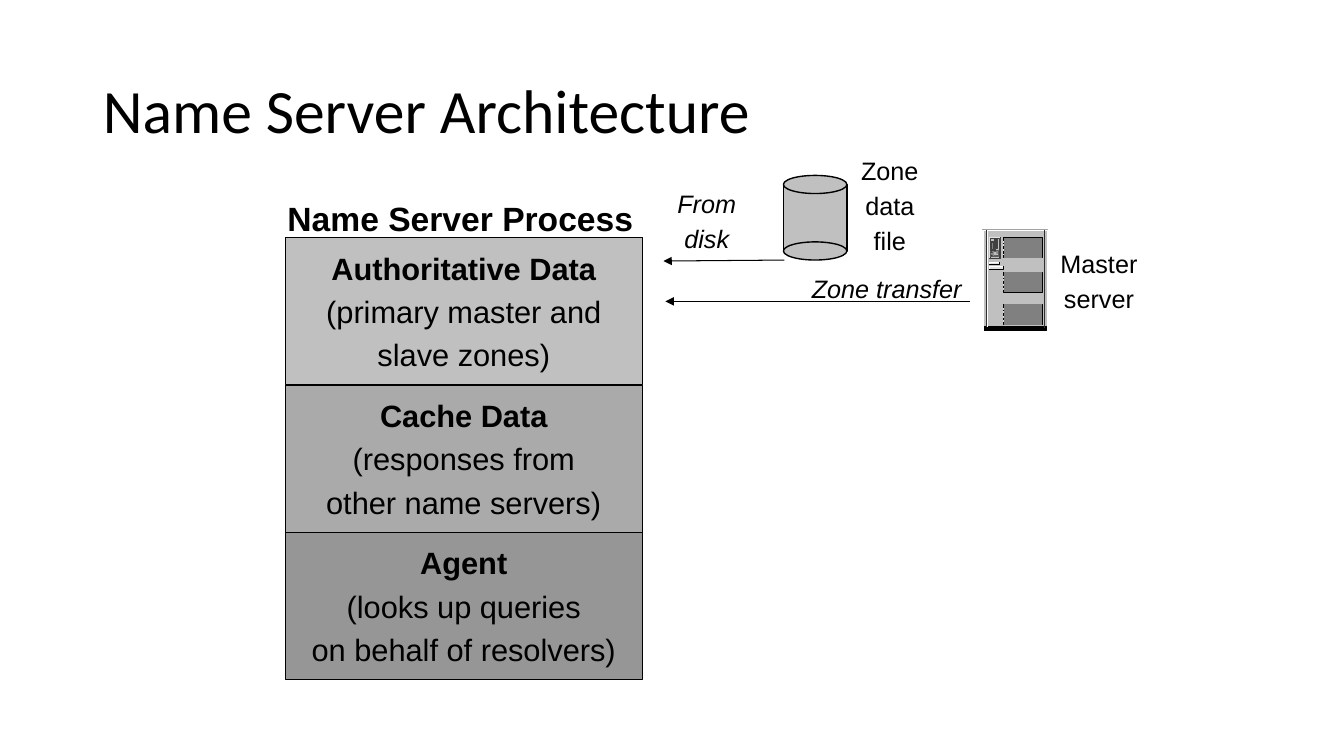
from pptx import Presentation
from pptx.dml.color import RGBColor
from pptx.enum.shapes import MSO_CONNECTOR as Connector, MSO_SHAPE as Shape
from pptx.enum.text import MSO_ANCHOR as Anchor, MSO_AUTO_SIZE as AutoSize, PP_ALIGN as Align
from pptx.oxml.ns import qn
from pptx.util import Inches, Pt
from lxml.etree import SubElement

COLORS = {
    "black": "000000",
    "white": "FFFFFF",
    "silver": "C0C0C0",
    "cache": "AAAAAA",
    "agent": "969696",
    "edge": "A2A2A2",
    "seam": "2F2F2F",
    "dark": "404040",
    "slot": "5F5F5F",
    "slat": "808080",
    "button": "8F8F8F",
    "light": "E1E1E1",
}

SECTIONS = [
    ("silver", ["Authoritative Data", "(primary master and", "slave zones)"]),
    ("cache", ["Cache Data", "(responses from", "other name servers)"]),
    ("agent", ["Agent", "(looks up queries", "on behalf of resolvers)"]),
]
SECTION_HEIGHT = 1.46

DRIVE_PARTS = [
    (9.82, 2.37, 0.09, 0.19, "silver", "dark"),
    (9.82, 2.49, 0.08, 0.05, "silver", "slot"),
    (9.82, 2.37, 0.04, 0.12, "silver", "dark"),
    (9.87, 2.37, 0.02, 0.10, "dark", "dark"),
    (9.83, 2.40, 0.02, 0.08, "slat", "dark"),
    (9.83, 2.40, 0.02, 0.01, "dark", "dark"),
    (9.86, 2.37, 0.01, 0.12, "dark", "dark"),
    (9.87, 2.37, 0.01, 0.10, "light", "dark"),
    (9.84, 2.50, 0.01, 0.04, "light", "button"),
]
PANEL_TOPS = [2.36, 2.7, 3.02]
BAR_OFFSETS = [0.04, 0.07, 0.12, 0.16]
SLAT_COUNT = 20


def color(name):
    return RGBColor.from_string(COLORS[name])


def add_block(shapes, left, top, width, height, fill, line=None, weight=0.75, kind=Shape.RECTANGLE):
    block = shapes.add_shape(kind, Inches(left), Inches(top), Inches(width), Inches(height))
    block.shadow.inherit = False
    block.fill.solid()
    block.fill.fore_color.rgb = color(fill)
    if line:
        block.line.color.rgb = color(line)
        block.line.width = Pt(weight)
    else:
        block.line.fill.background()
    return block


def add_line(shapes, start, end, line="black", weight=0.75, arrow=False):
    points = [Inches(value) for value in (*start, *end)]
    connector = shapes.add_connector(Connector.STRAIGHT, *points)
    connector.line.color.rgb = color(line)
    connector.line.width = Pt(weight)
    if arrow:
        SubElement(connector.line._get_or_add_ln(), qn("a:tailEnd"), type="triangle")
    SubElement(connector._element.spPr, qn("a:effectLst"))


def add_corner(shapes, points, line):
    first, *rest = [(Inches(x), Inches(y)) for x, y in points]
    builder = shapes.build_freeform(*first)
    builder.add_line_segments(rest, close=False)
    corner = builder.convert_to_shape()
    corner.shadow.inherit = False
    corner.fill.background()
    corner.line.color.rgb = color(line)
    corner.line.width = Pt(0.75)


def write_lines(frame, lines, size, bold_first=False, italic=False):
    frame.word_wrap = False
    for index, line in enumerate(lines):
        para = frame.paragraphs[0] if index == 0 else frame.add_paragraph()
        para.text = line
        para.alignment = Align.CENTER
        if index:
            para.space_before = Pt(round(size * 0.2, 1))
        para.font.name = "Arial"
        para.font.size = Pt(size)
        para.font.bold = bold_first and index == 0
        para.font.italic = italic
        para.font.color.rgb = color("black")


def add_label(shapes, left, top, width, height, lines, size=18, bold=False, italic=False):
    box = shapes.add_textbox(Inches(left), Inches(top), Inches(width), Inches(height))
    write_lines(box.text_frame, lines, size, bold, italic)
    box.text_frame.auto_size = AutoSize.SHAPE_TO_FIT_TEXT


def add_title(page, text):
    title = page.shapes.title
    title.left, title.top = Inches(0.92), Inches(0.4)
    title.width, title.height = Inches(11.5), Inches(1.45)
    title.text_frame.text = text
    title.text_frame.vertical_anchor = Anchor.MIDDLE
    para = title.text_frame.paragraphs[0]
    para.alignment = Align.LEFT
    para.line_spacing = 0.9
    para.font.name = "Calibri"
    para.font.size = Pt(44)
    para.font.color.rgb = color("black")


def add_vent_panel(shapes, top):
    add_block(shapes, 9.95, top, 0.39, 0.2, "white", "black")
    for offset in BAR_OFFSETS:
        add_block(shapes, 9.95, top + offset, 0.38, 0.01, "light", "light")
    for index in range(SLAT_COUNT):
        x = 9.97 + 0.35 * index / (SLAT_COUNT - 1)
        add_line(shapes, (x, top), (x, top + 0.2), "slat", 1.48)


def add_tray(shapes, top, width, height):
    add_block(shapes, 9.81, top, width, height, "light", "white")
    right, bottom = 9.81 + width, top + height
    add_corner(shapes, [(9.81, bottom), (right, bottom), (right, top)], "black")


def add_master_server(page):
    shapes = page.shapes.add_group_shape().shapes
    add_block(shapes, 9.75, 2.28, 0.64, 0.96, "silver", "edge")
    add_block(shapes, 9.76, 3.24, 0.62, 0.04, "black", "black")
    add_line(shapes, (9.78, 2.28), (9.78, 3.24), "seam")
    for left, right in [(9.79, 10.35), (9.75, 9.78)]:
        add_corner(shapes, [(left, 3.24), (left, 2.29), (right, 2.29)], "white")
    add_corner(shapes, [(10.36, 2.29), (10.39, 2.29), (10.39, 3.24)], "white")
    add_line(shapes, (10.36, 2.28), (10.36, 3.25), "seam")
    add_block(shapes, 9.81, 2.35, 0.11, 0.21, "light")
    for part in DRIVE_PARTS:
        add_block(shapes, *part)
    for top in (2.5, 2.53):
        add_block(shapes, 9.83, top, 0.01, 0.01, "dark", "dark", kind=Shape.OVAL)
    add_corner(shapes, [(9.92, 2.35), (9.92, 2.56), (9.81, 2.56)], "dark")
    add_block(shapes, 9.88, 2.5, 0.01, 0.02, "light", "button")
    for top in PANEL_TOPS:
        add_vent_panel(shapes, top)
    add_tray(shapes, 2.6, 0.1, 0.02)
    add_tray(shapes, 2.64, 0.14, 0.03)
    add_label(shapes, 10.38, 2.41, 1.04, 0.74, ["Master", "server"])


def add_zone_file(page):
    shapes = page.shapes.add_group_shape().shapes
    add_block(shapes, 7.77, 1.83, 0.63, 0.66, "silver", "black", 1)
    for top in (1.74, 2.4):
        add_block(shapes, 7.77, top, 0.63, 0.18, "silver", "black", 1, Shape.OVAL)
    add_label(shapes, 8.4, 1.49, 0.85, 1.1, ["Zone", "data", "file"])


def add_process(page):
    shapes = page.shapes.add_group_shape().shapes
    for index, (fill, lines) in enumerate(SECTIONS):
        top = 2.36 + index * SECTION_HEIGHT
        section = add_block(shapes, 2.83, top, 3.54, SECTION_HEIGHT, fill, "black")
        section.text_frame.vertical_anchor = Anchor.MIDDLE
        write_lines(section.text_frame, lines, 22, bold_first=True)
    add_label(shapes, 2.72, 1.91, 3.69, 0.5, ["Name Server Process"], 24, bold=True)


def main():
    deck = Presentation()
    deck.slide_width, deck.slide_height = Inches(13.33), Inches(7.5)
    page = deck.slides.add_slide(deck.slide_layouts[5])
    add_title(page, "Name Server Architecture")
    add_line(page.shapes, (7.78, 2.58), (6.58, 2.59), arrow=True)
    add_line(page.shapes, (9.62, 2.99), (6.6, 2.99), arrow=True)
    add_master_server(page)
    add_label(page.shapes, 7.95, 2.66, 1.69, 0.4, ["Zone transfer"], italic=True)
    add_zone_file(page)
    add_label(page.shapes, 6.62, 1.82, 0.78, 0.74, ["From", "disk"], italic=True)
    add_process(page)
    deck.save("out.pptx")


if __name__ == "__main__":
    main()
